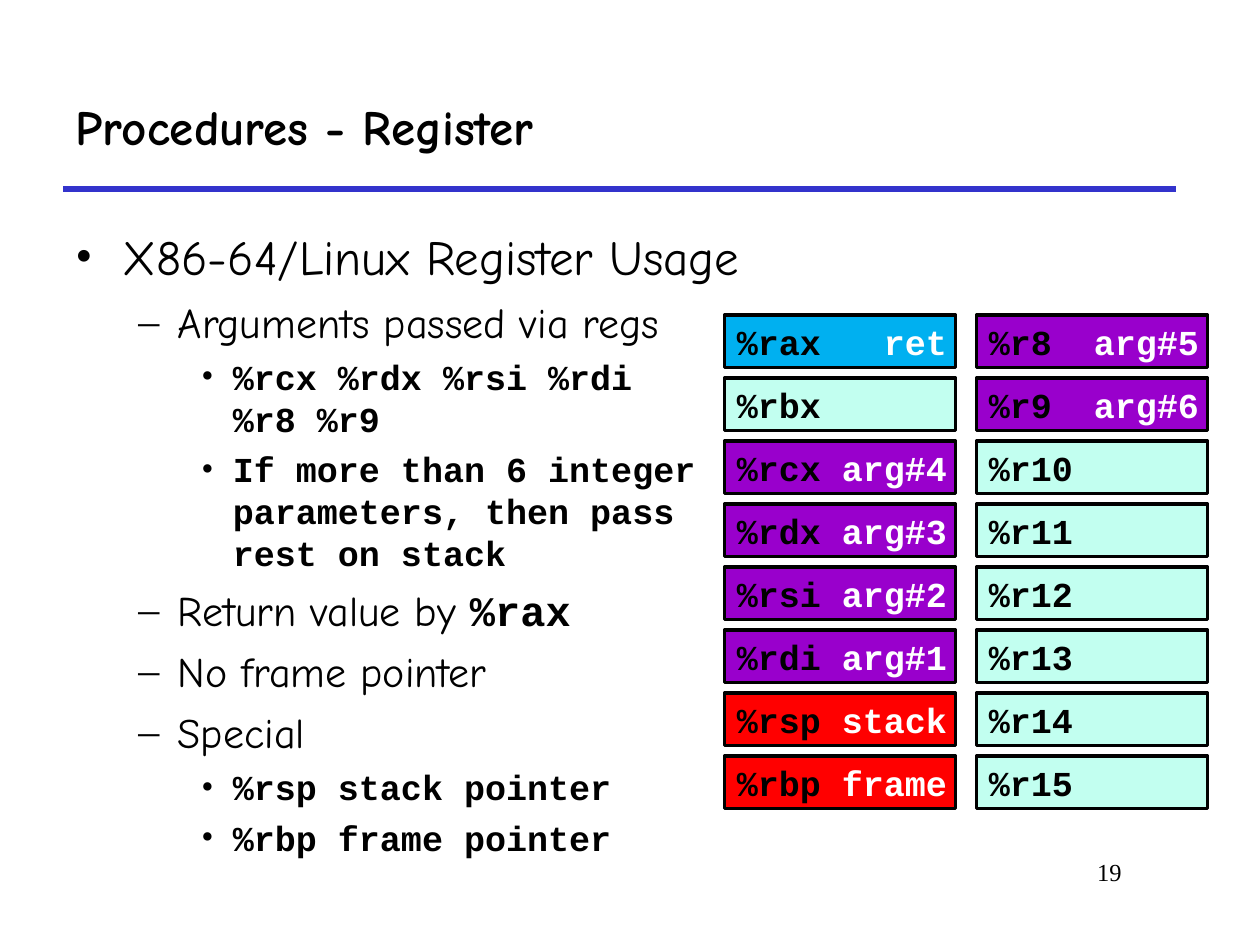
from lxml import etree
from pptx import Presentation
from pptx.dml.color import RGBColor
from pptx.enum.shapes import MSO_CONNECTOR, MSO_SHAPE
from pptx.enum.text import MSO_ANCHOR, PP_ALIGN
from pptx.oxml.ns import qn
from pptx.util import Pt

COLORS = {
    "black": "000000", "white": "FFFFFF", "rule": "3333CC",
    "return": "00B0F0", "argument": "9900CC", "special": "FF0000", "general": "C2FFF0",
}
SANS, MONO, SERIF = "Comic Neue", "Courier New", "Times New Roman"
MONO_CHAR = 12  # advance of one 20 pt monospaced character

# level: (left margin, hanging indent, space before, bullet, font, size, bold)
LEVELS = [
    (27, 27, 7, "•", SANS, 28, False),
    (58.5, 22.5, 6, "–", SANS, 24, False),
    (90, 18, 5, "•", MONO, 20, True),
]
OUTLINE = [
    (0, "X86-64/Linux Register Usage", ""),
    (1, "Arguments passed via regs", ""),
    (2, "%rcx %rdx %rsi %rdi \v%r8 %r9", ""),
    (2, "If more than 6 integer \vparameters, then pass\vrest on stack", ""),
    (1, "Return value by ", "%rax"),
    (1, "No frame pointer", ""),
    (1, "Special", ""),
    (2, "%rsp stack pointer", ""),
    (2, "%rbp frame pointer", ""),
]
REGISTERS = [
    [("%rax", "ret", "return"), ("%rbx", "", "general"),
     ("%rcx", "arg#4", "argument"), ("%rdx", "arg#3", "argument"),
     ("%rsi", "arg#2", "argument"), ("%rdi", "arg#1", "argument"),
     ("%rsp", "stack", "special"), ("%rbp", "frame", "special")],
    [("%r8", "arg#5", "argument"), ("%r9", "arg#6", "argument")]
    + [(f"%r{number}", "", "general") for number in range(10, 16)],
]


def color(name):
    return RGBColor.from_string(COLORS[name])


def set_font(font, name, size, bold=False, color_name="black"):
    font.name, font.size, font.bold = name, Pt(size), bold
    font.color.rgb = color(color_name)


def add_bullet(paragraph, character, margin, hanging):
    properties = paragraph._p.get_or_add_pPr()
    properties.set("marL", str(Pt(margin)))
    properties.set("indent", str(-Pt(hanging)))
    etree.SubElement(properties, qn("a:buFont")).set("typeface", SERIF)
    etree.SubElement(properties, qn("a:buChar")).set("char", character)


def add_tab_stop(paragraph, position):
    tabs = etree.SubElement(paragraph._p.get_or_add_pPr(), qn("a:tabLst"))
    tab = etree.SubElement(tabs, qn("a:tab"))
    tab.set("pos", str(Pt(position)))
    tab.set("algn", "l")


def place_title(slide, left, top, width, height):
    title = slide.shapes.title
    title.left, title.top, title.width, title.height = map(Pt, (left, top, width, height))
    frame = title.text_frame
    frame.text = "Procedures - Register"
    frame.vertical_anchor = MSO_ANCHOR.MIDDLE
    paragraph = frame.paragraphs[0]
    paragraph.alignment = PP_ALIGN.LEFT
    set_font(paragraph.font, SANS, 28, True)

    bottom = top + height
    rule = slide.shapes.add_connector(
        MSO_CONNECTOR.STRAIGHT, Pt(left), Pt(bottom), Pt(left + width), Pt(bottom))
    rule.line.color.rgb = color("rule")
    rule.line.width = Pt(3)
    etree.SubElement(rule._element.spPr, qn("a:effectLst"))


def add_outline(slide, left, top, width, height):
    frame = slide.shapes.add_textbox(*map(Pt, (left, top, width, height))).text_frame
    frame.word_wrap = True
    for index, (level, text, code) in enumerate(OUTLINE):
        paragraph = frame.add_paragraph() if index else frame.paragraphs[0]
        margin, hanging, space, bullet, font, size, bold = LEVELS[level]
        paragraph.text = text
        paragraph.level = level
        add_bullet(paragraph, bullet, margin, hanging)
        paragraph.space_before = Pt(space if index else 0)
        set_font(paragraph.font, font, size, bold)
        if code:
            run = paragraph.add_run()
            run.text = code
            set_font(run.font, MONO, size, True)


def add_register(slide, left, top, width, height, register):
    name, role, kind = register
    box = slide.shapes.add_shape(
        MSO_SHAPE.RECTANGLE, *map(Pt, (left, top, width, height)))
    box.shadow.inherit = False
    box.fill.solid()
    box.fill.fore_color.rgb = color(kind)
    box.line.color.rgb = color("black")
    box.line.width = Pt(2)
    frame = box.text_frame
    frame.word_wrap = False
    frame.vertical_anchor = MSO_ANCHOR.MIDDLE
    paragraph = frame.paragraphs[0]
    paragraph.alignment = PP_ALIGN.LEFT
    if role:
        add_tab_stop(paragraph, MONO_CHAR * (10 - len(role)))
    set_font(paragraph.font, MONO, 20, True)
    parts = [(name, "black")] + ([("\t" + role, "white")] if role else [])
    for text, color_name in parts:
        run = paragraph.add_run()
        run.text = text
        run.font.color.rgb = color(color_name)


def add_register_grid(slide, left, top, column_step, row_step, width, height):
    for column, registers in enumerate(REGISTERS):
        for row, register in enumerate(registers):
            add_register(slide, left + column * column_step, top + row * row_step,
                         width, height, register)


def add_page_number(slide, left, top, width, height):
    frame = slide.shapes.add_textbox(*map(Pt, (left, top, width, height))).text_frame
    frame.word_wrap = True
    paragraph = frame.paragraphs[0]
    paragraph.text = "19"
    paragraph.alignment = PP_ALIGN.RIGHT
    set_font(paragraph.font, SERIF, 14)


def main():
    presentation = Presentation()
    presentation.slide_width, presentation.slide_height = Pt(720), Pt(540)
    slide = presentation.slides.add_slide(presentation.slide_layouts[5])
    place_title(slide, 36, 36, 636, 72)
    add_outline(slide, 36, 126, 648, 390)
    add_register_grid(slide, 414, 180, 144, 36, 132, 30)
    add_page_number(slide, 546, 486, 102, 36)
    presentation.save("out.pptx")


if __name__ == "__main__":
    main()
